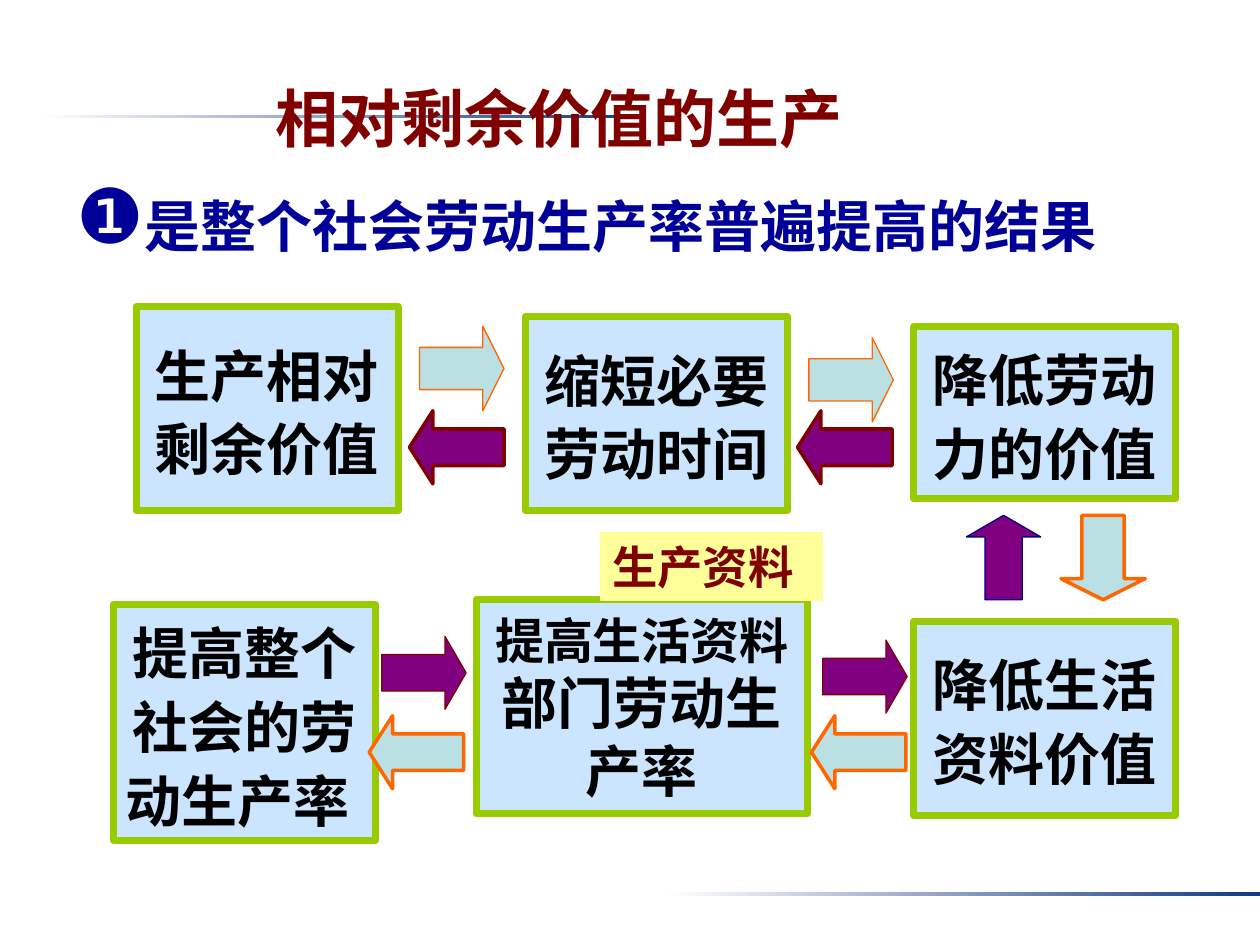
from typing import NamedTuple

from lxml import etree
from pptx import Presentation
from pptx import util as u
from pptx.dml.color import RGBColor
from pptx.enum import shapes, text
from pptx.oxml.ns import qn

KIND = shapes.MSO_SHAPE
ALIGN = text.PP_ALIGN
FONT = "Noto Sans CJK JP"
HUES = {
    "white": "FFFFFF", "navy": "133984", "blue": "000099", "maroon": "800000",
    "black": "000000", "sky": "99CCFF", "green": "99CC00", "yellow": "FFFF99",
    "teal": "BBE0E3", "orange": "FF6600", "purple": "800080", "dark": "000080",
}


class Place(NamedTuple):
    left: float
    top: float
    width: float
    height: float


class Run(NamedTuple):
    words: str
    size: float = 32


class Style(NamedTuple):
    hue: str
    align: ALIGN | None = None
    pitch: float = 1.0
    font: str = FONT


class Box(NamedTuple):
    place: Place
    runs: list[Run]
    pitch: float = 1.1


class Arrow(NamedTuple):
    kind: KIND
    place: Place
    fill: str
    edge: str
    weight: float
    head: float
    turn: float = 0


RULES = [Place(0.31, 0.91, 4.72, 0.03), Place(5.28, 7.08, 4.72, 0.03)]
BOXES = [
    Box(Place(1.08, 2.43, 2.08, 1.62), [Run("生产相对剩余价值")]),
    Box(Place(4.17, 2.51, 2.08, 1.54), [Run("缩短必要劳动时间")]),
    Box(Place(7.25, 2.59, 2.08, 1.37), [Run("降低劳动力的价值")]),
    Box(Place(7.25, 4.93, 2.08, 1.54), [Run("降低生活资料价值")]),
    Box(Place(3.78, 4.76, 2.63, 1.7),
        [Run("提高生活资料", 28), Run("部门劳动生产率")], 1.0),
    Box(Place(0.9, 4.8, 2.08, 1.87), [Run("提高整个社会的劳动生产率 ")]),
]
RIGHT, LEFT, DOWN = KIND.RIGHT_ARROW, KIND.LEFT_ARROW, KIND.DOWN_ARROW
ARROWS = [
    *(Arrow(RIGHT, Place(x, y, 0.67, 0.67), "teal", "orange", 0.75, 0.25)
      for x, y in [(3.33, 2.59), (6.42, 2.68)]),
    Arrow(DOWN, Place(7.67, 4.09, 0.59, 0.67), "purple", "dark", 0.75, 0.29, 180),
    Arrow(DOWN, Place(8.42, 4.09, 0.67, 0.67), "teal", "orange", 2, 0.25),
    *(Arrow(LEFT, Place(x, 5.68, 0.75, 0.58), "teal", "orange", 2, 0.32)
      for x in (6.44, 2.93)),
    *(Arrow(RIGHT, Place(x, y, 0.67, 0.58), "purple", "maroon", 0.75, 0.29)
      for x, y in [(3.03, 5.05), (6.53, 5.08)]),
    *(Arrow(LEFT, Place(x, 3.26, 0.75, 0.58), "purple", "maroon", 2, 0.32)
      for x in (6.33, 3.25)),
]


def tint(name: str) -> RGBColor:
    return RGBColor.from_string(HUES[name])


def span(place: Place) -> list[u.Length]:
    return [u.Inches(side) for side in place]


def add_form(slide, kind: KIND, place: Place, fill: str,
             edge: str | None = None, weight: float = 0):
    form = slide.shapes.add_shape(kind, *span(place))
    form.shadow.inherit = False
    form.fill.solid()
    form.fill.fore_color.rgb = tint(fill)
    if edge:
        form.line.color.rgb = tint(edge)
        form.line.width = u.Pt(weight)
    else:
        form.line.fill.background()
    return form


def write(form, runs: list[Run], style: Style):
    frame = form.text_frame
    frame.word_wrap = True
    para = frame.paragraphs[0]
    para.alignment = style.align or ALIGN.LEFT
    para.line_spacing = style.pitch
    para.space_before = u.Pt(0)
    for part in runs:
        run = para.add_run()
        run.text = part.words
        font = run.font
        font.name = style.font
        font.size = u.Pt(part.size)
        font.bold = True
        font.color.rgb = tint(style.hue)
        latin = run._r.rPr.find(qn("a:latin"))
        east = etree.Element(qn("a:ea"), typeface=style.font)
        latin.addnext(east)
    return para


def add_rule(slide, place: Place) -> None:
    form = add_form(slide, KIND.RECTANGLE, place, "navy")
    form.fill.gradient()
    form.fill.gradient_angle = 0
    for stop, name in zip(form.fill.gradient_stops, ("white", "navy")):
        stop.color.rgb = tint(name)


def add_label(slide, place: Place, run: Run, style: Style):
    form = slide.shapes.add_textbox(*span(place))
    para = write(form, [run], style)
    form.text_frame.auto_size = text.MSO_AUTO_SIZE.SHAPE_TO_FIT_TEXT
    return para


def add_mark(para, mark: str, hue: str, scale: int) -> None:
    props = para._p.get_or_add_pPr()
    props.set("marL", "0")
    props.set("indent", "0")
    color = etree.SubElement(props, qn("a:buClr"))
    etree.SubElement(color, qn("a:srgbClr"), val=HUES[hue])
    etree.SubElement(props, qn("a:buSzPct"), val=str(scale * 1000))
    etree.SubElement(props, qn("a:buChar"), char=mark)


def add_box(slide, box: Box) -> None:
    form = add_form(slide, KIND.FLOWCHART_PROCESS, box.place, "sky", "green", 4)
    color = form._element.spPr.find(qn("a:solidFill")).find(qn("a:srgbClr"))
    etree.SubElement(color, qn("a:alpha"), val="50000")
    form.text_frame.vertical_anchor = text.MSO_ANCHOR.MIDDLE
    write(form, box.runs, Style("black", ALIGN.CENTER, box.pitch))


def add_tag(slide, place: Place, run: Run) -> None:
    form = add_form(slide, KIND.FLOWCHART_PROCESS, place, "yellow")
    form.text_frame.vertical_anchor = text.MSO_ANCHOR.MIDDLE
    write(form, [run], Style("maroon", font="Noto Sans CJK SC"))


def add_arrow(slide, arrow: Arrow) -> None:
    form = add_form(slide, arrow.kind, arrow.place, arrow.fill,
                    arrow.edge, arrow.weight)
    form.adjustments[0] = 0.5
    form.adjustments[1] = arrow.head
    form.rotation = arrow.turn


def main() -> None:
    deck = Presentation()
    deck.slide_width, deck.slide_height = u.Inches(10), u.Inches(7.5)
    slide = deck.slides.add_slide(deck.slide_layouts[6])
    for place in RULES:
        add_rule(slide, place)
    add_label(slide, Place(2.09, 0.52, 5.12, 0.76), Run("相对剩余价值的生产", 36),
              Style("maroon", ALIGN.JUSTIFY, 1.1))
    point = add_label(slide, Place(0.51, 1.47, 8.83, 0.64),
                      Run("是整个社会劳动生产率普遍提高的结果"), Style("blue"))
    add_mark(point, "❶", "blue", 135)
    for box in BOXES:
        add_box(slide, box)
    add_tag(slide, Place(4.76, 4.22, 1.77, 0.55), Run("生产资料", 25.9))
    for arrow in ARROWS:
        add_arrow(slide, arrow)
    deck.save("out.pptx")


if __name__ == "__main__":
    main()
